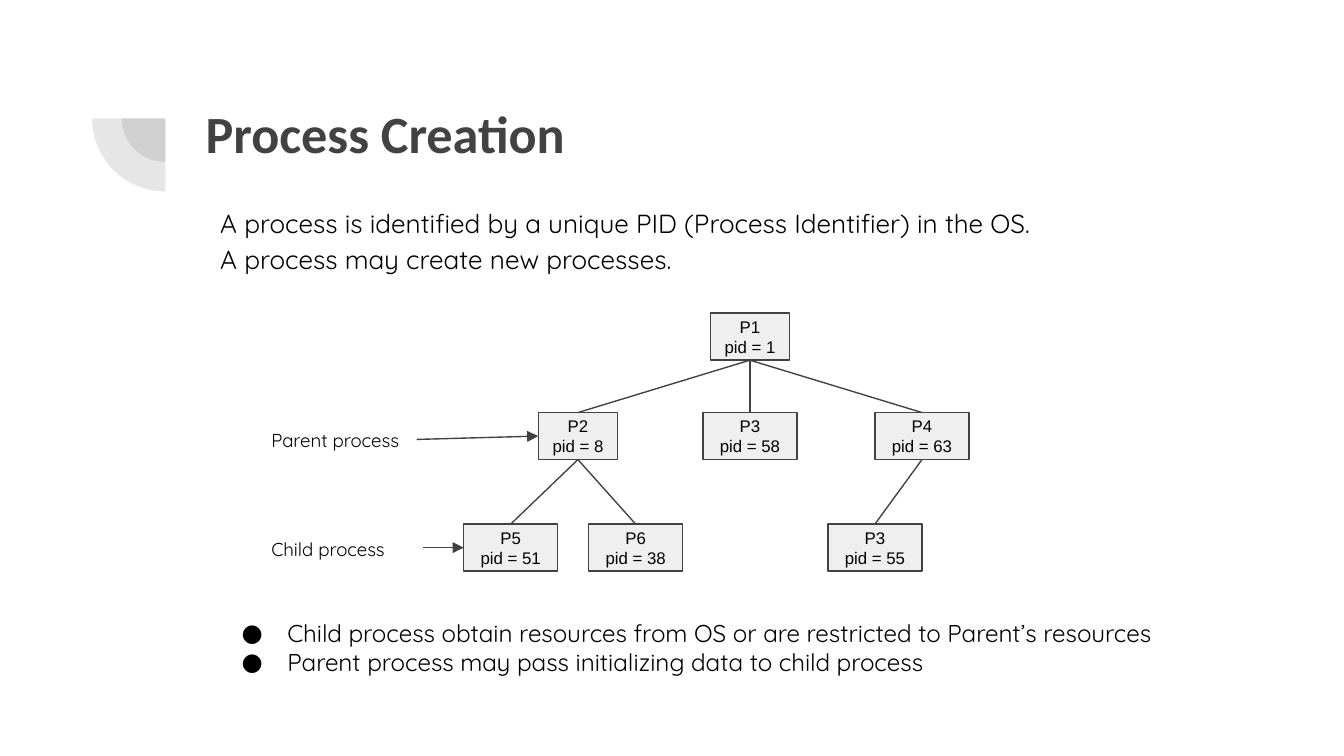
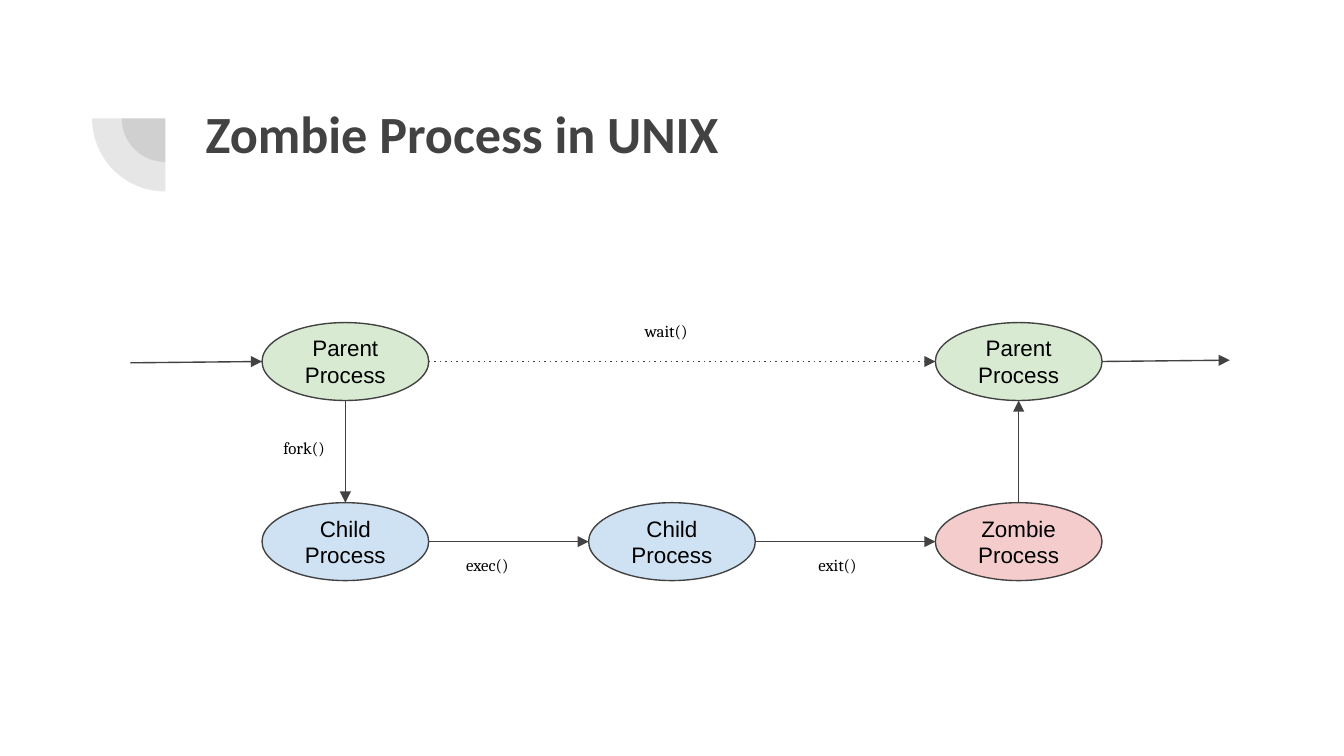
from lxml.etree import SubElement
from pptx import Presentation
from pptx.dml.color import RGBColor
from pptx.enum.shapes import MSO_CONNECTOR, MSO_SHAPE
from pptx.enum.text import MSO_ANCHOR, MSO_AUTO_SIZE, PP_ALIGN
from pptx.oxml.ns import qn
from pptx.util import Inches, Pt

# Shared look
SLIDE_W = 10
SLIDE_H = SLIDE_W * 9 / 16
DARK, BLACK = "424242", "000000"
GREY, GREEN, BLUE, RED = "EFEFEF", "D9EAD3", "CFE2F3", "F4CCCC"
HEADING, BODY, NODE, CODE = "Calibri", "Quicksand", "Arial", "Cambria"
INSET = 0.1
TITLE_BOX = (1.43, 0.65, 7.69, 1.09)
CORNER_CENTRE, CORNER_DIAMETERS = (1.23, 0.88), (0.65, 1.09)

# Process creation: content
INTRO = ["A process is identified by a unique PID (Process Identifier) in the OS.",
         "A process may create new processes."]
NOTES = ["Child process obtain resources from OS or are restricted to Parent’s resources",
         "Parent process may pass initializing data to child process"]
TREE_ROWS = (2.33, 3.07, 3.9)
TREE_NODE_H = 0.35
# key: (name, pid, row, centre x, parent key)
TREE = {
    "root": ("P1", 1, 0, 5.58, None),
    "left": ("P2", 8, 1, 4.3, "root"),
    "middle": ("P3", 58, 1, 5.58, "root"),
    "right": ("P4", 63, 1, 6.86, "root"),
    "left a": ("P5", 51, 2, 3.8, "left"),
    "left b": ("P6", 38, 2, 4.73, "left"),
    "right a": ("P3", 55, 2, 6.51, "right"),
}
# text, top, width, arrow start, node pointed at
ROLES = [("Parent process", 3.09, 1.18, (3.1, 3.27), "left"),
         ("Child process", 3.9, 1.22, (3.15, TREE_ROWS[2] + TREE_NODE_H / 2),
          "left a")]

# Zombie process: content
STATE_W, STATE_H = 1.24, 0.58
STATE_COLUMNS = (2.57, 5, 7.58)
STATE_ROWS = (2.69, 4.03)
# text, column, row, fill
STATES = [("Child Process", 0, 1, BLUE), ("Child Process", 1, 1, BLUE),
          ("Zombie Process", 2, 1, RED), ("Parent Process", 2, 0, GREEN),
          ("Parent Process", 0, 0, GREEN)]
# from (column, row), to (column, row), call, left and top of the call, dotted
STEPS = [((0, 0), (0, 1), "fork()", (2.01, 3.16), False),
         ((0, 1), (1, 1), "exec()", (3.37, 4.03), False),
         ((1, 1), (2, 1), "exit()", (5.99, 4.03), False),
         ((0, 0), (2, 0), "wait()", (4.7, 2.29), True),
         ((2, 1), (2, 0), None, None, False)]
ENTRY_X, EXIT_X = 0.97, 9.15


def rgb(value):
    return RGBColor.from_string(value)


def inches(*values):
    return [Inches(v) for v in values]


def write(shape, lines, font, size, color=BLACK, bold=False,
          align=PP_ALIGN.LEFT, anchor=MSO_ANCHOR.TOP, spacing=None):
    frame = shape.text_frame
    frame.text = "\n".join(lines)
    frame.word_wrap = True
    frame.auto_size = MSO_AUTO_SIZE.NONE
    frame.vertical_anchor = anchor
    frame.margin_left = frame.margin_right = Inches(INSET)
    frame.margin_top = frame.margin_bottom = Inches(INSET)
    for paragraph in frame.paragraphs:
        paragraph.alignment = align
        if spacing:
            paragraph.line_spacing = spacing
        for run in paragraph.runs:
            run.font.name, run.font.size, run.font.bold = font, Pt(size), bold
            run.font.color.rgb = rgb(color)


def add_text(slide, box, lines, font, size, **style):
    area = slide.shapes.add_textbox(*inches(*box))
    write(area, lines, font, size, **style)
    return area


def add_bullets(area):
    for paragraph in area.text_frame.paragraphs:
        props = paragraph._p.get_or_add_pPr()
        props.set("marL", str(Inches(0.5)))
        props.set("indent", str(Inches(-0.34)))
        color = SubElement(props, qn("a:buClr"))
        SubElement(color, qn("a:srgbClr")).set("val", BLACK)
        SubElement(props, qn("a:buFont")).set("typeface", BODY)
        SubElement(props, qn("a:buChar")).set("char", "●")


def add_node(slide, preset, centre, size, lines, fill, text_size):
    (x, y), (w, h) = centre, size
    node = slide.shapes.add_shape(preset, *inches(x - w / 2, y - h / 2, w, h))
    node.shadow.inherit = False
    node.fill.solid()
    node.fill.fore_color.rgb = rgb(fill)
    node.line.color.rgb = rgb(DARK)
    node.line.width = Pt(0.75)
    write(node, lines, NODE, text_size, align=PP_ALIGN.CENTER,
          anchor=MSO_ANCHOR.MIDDLE)
    return node


def add_line(slide, start, end, arrow=True, dotted=False):
    line = slide.shapes.add_connector(MSO_CONNECTOR.STRAIGHT,
                                      *inches(*start, *end))
    line.line.color.rgb = rgb(DARK)
    line.line.width = Pt(0.75)
    if dotted:
        SubElement(line.line._ln, qn("a:prstDash")).set("val", "dot")
    if arrow:
        SubElement(line.line._ln, qn("a:tailEnd")).set("type", "triangle")
    SubElement(line._element.spPr, qn("a:effectLst"))
    return line


def add_corner(slide, layout):
    """Draw the two quarter discs and hand them to the shared layout."""
    x, y = CORNER_CENTRE
    for d in CORNER_DIAMETERS:
        disc = slide.shapes.add_shape(MSO_SHAPE.PIE,
                                      *inches(x - d / 2, y - d / 2, d, d))
        disc.adjustments[0], disc.adjustments[1] = 108, 162
        disc.rotation = 270
        disc.shadow.inherit = False
        disc.line.fill.background()
        disc.fill.solid()
        disc.fill.fore_color.rgb = rgb(DARK)
        color = disc._element.spPr.find(".//" + qn("a:srgbClr"))
        SubElement(color, qn("a:alpha")).set("val", "13000")
        layout.shapes._spTree.append(disc._element)


def add_titled_slide(prs, layout, heading):
    slide = prs.slides.add_slide(layout)
    title = slide.shapes.title
    title.left, title.top, title.width, title.height = inches(*TITLE_BOX)
    write(title, [heading], HEADING, 28, color=DARK, bold=True)
    return slide


def build_creation(slide):
    add_text(slide, (1.54, 1.41, 7.69, 0.71), INTRO, BODY, 14, spacing=1.15)

    # Process tree: a parent is always listed before its children
    nodes = {}
    for key, (name, pid, row, x, parent) in TREE.items():
        width = 0.59 if pid < 10 else 0.7
        nodes[key] = add_node(slide, MSO_SHAPE.FLOWCHART_PROCESS,
                              (x, TREE_ROWS[row] + TREE_NODE_H / 2),
                              (width, TREE_NODE_H),
                              [name, f"pid = {pid}"], GREY, 9)
        if parent:
            branch = add_line(slide, (0, 0), (0, 0), arrow=False)
            branch.begin_connect(nodes[parent], 2)
            branch.end_connect(nodes[key], 0)

    # Role labels and their arrows
    for role, top, width, start, key in ROLES:
        add_text(slide, (1.92, top, width, 0.35), [role], BODY, 10)
        add_line(slide, start, start).end_connect(nodes[key], 1)

    add_bullets(add_text(slide, (1.54, 4.5, 7.43, 0.71), NOTES, BODY, 13))


def build_zombie(slide):
    for state, column, row, fill in STATES:
        add_node(slide, MSO_SHAPE.OVAL, (STATE_COLUMNS[column], STATE_ROWS[row]),
                 (STATE_W, STATE_H), [state], fill, 12)

    # Steps run from edge to edge along a row or a column
    for (c1, r1), (c2, r2), call, spot, dotted in STEPS:
        dx = ((c2 > c1) - (c2 < c1)) * STATE_W / 2
        dy = ((r2 > r1) - (r2 < r1)) * STATE_H / 2
        add_line(slide, (STATE_COLUMNS[c1] + dx, STATE_ROWS[r1] + dy),
                 (STATE_COLUMNS[c2] - dx, STATE_ROWS[r2] - dy), dotted=dotted)
        if call:
            add_text(slide, (*spot, 0.59, 0.4), [call], CODE, 9)

    # Way in and way out
    y = STATE_ROWS[0]
    add_line(slide, (ENTRY_X, y + 0.01), (STATE_COLUMNS[0] - STATE_W / 2, y))
    add_line(slide, (STATE_COLUMNS[2] + STATE_W / 2, y), (EXIT_X, y - 0.01))


def main():
    prs = Presentation()
    prs.slide_width, prs.slide_height = inches(SLIDE_W, SLIDE_H)
    layout = prs.slide_layouts.get_by_name("Title Only")
    creation = add_titled_slide(prs, layout, "Process Creation")
    add_corner(creation, layout)
    build_creation(creation)
    build_zombie(add_titled_slide(prs, layout, "Zombie Process in UNIX"))
    prs.save("out.pptx")


if __name__ == "__main__":
    main()
